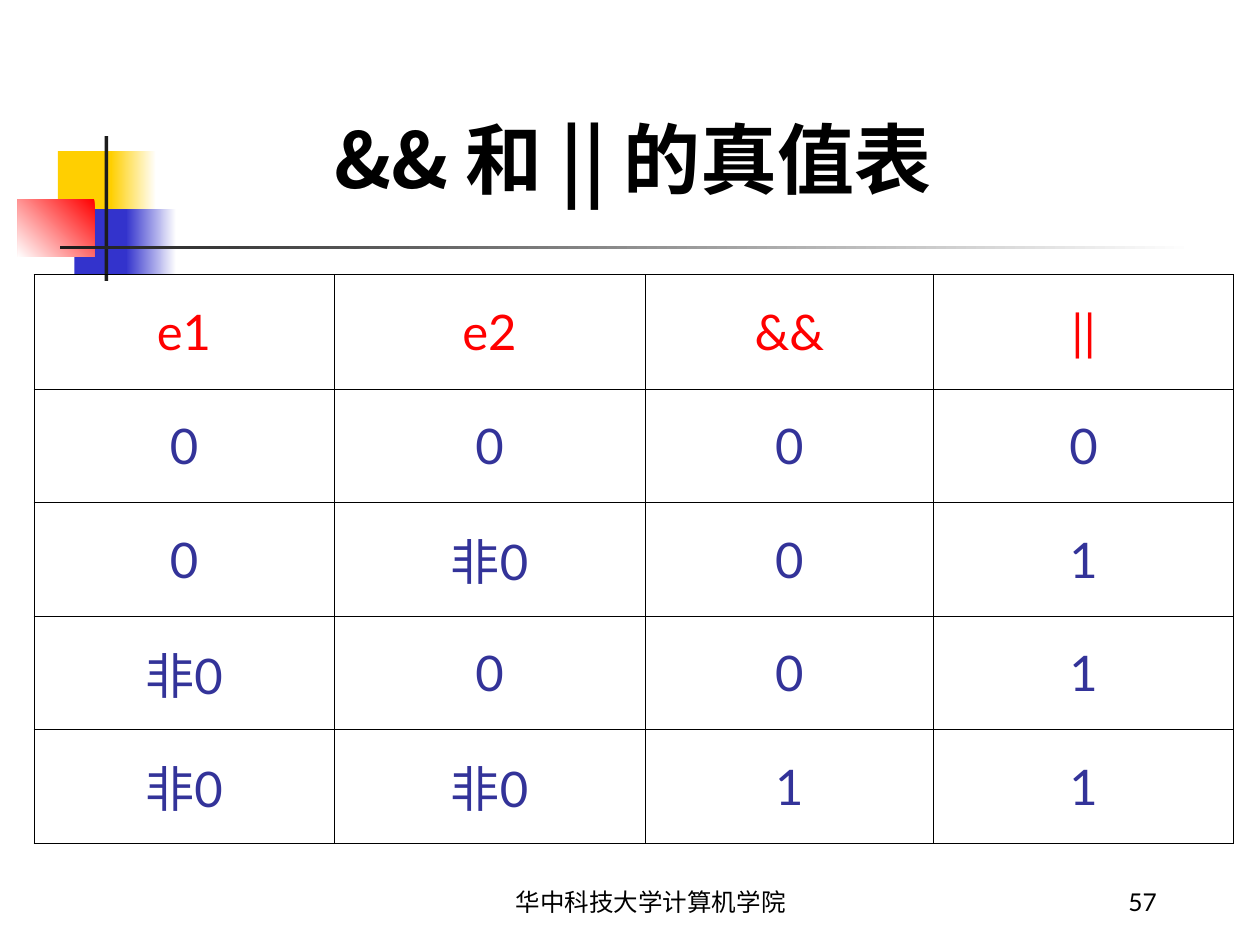
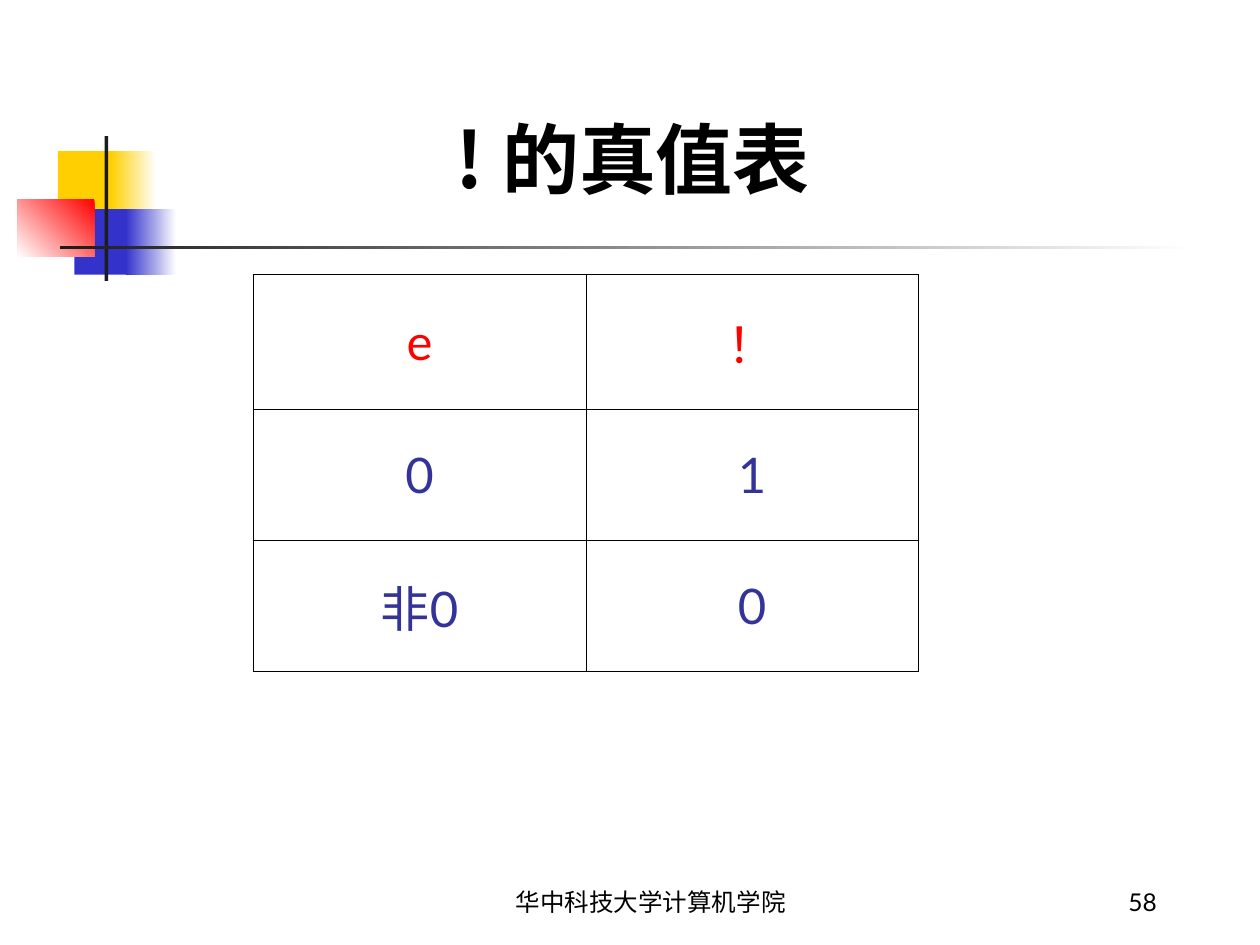
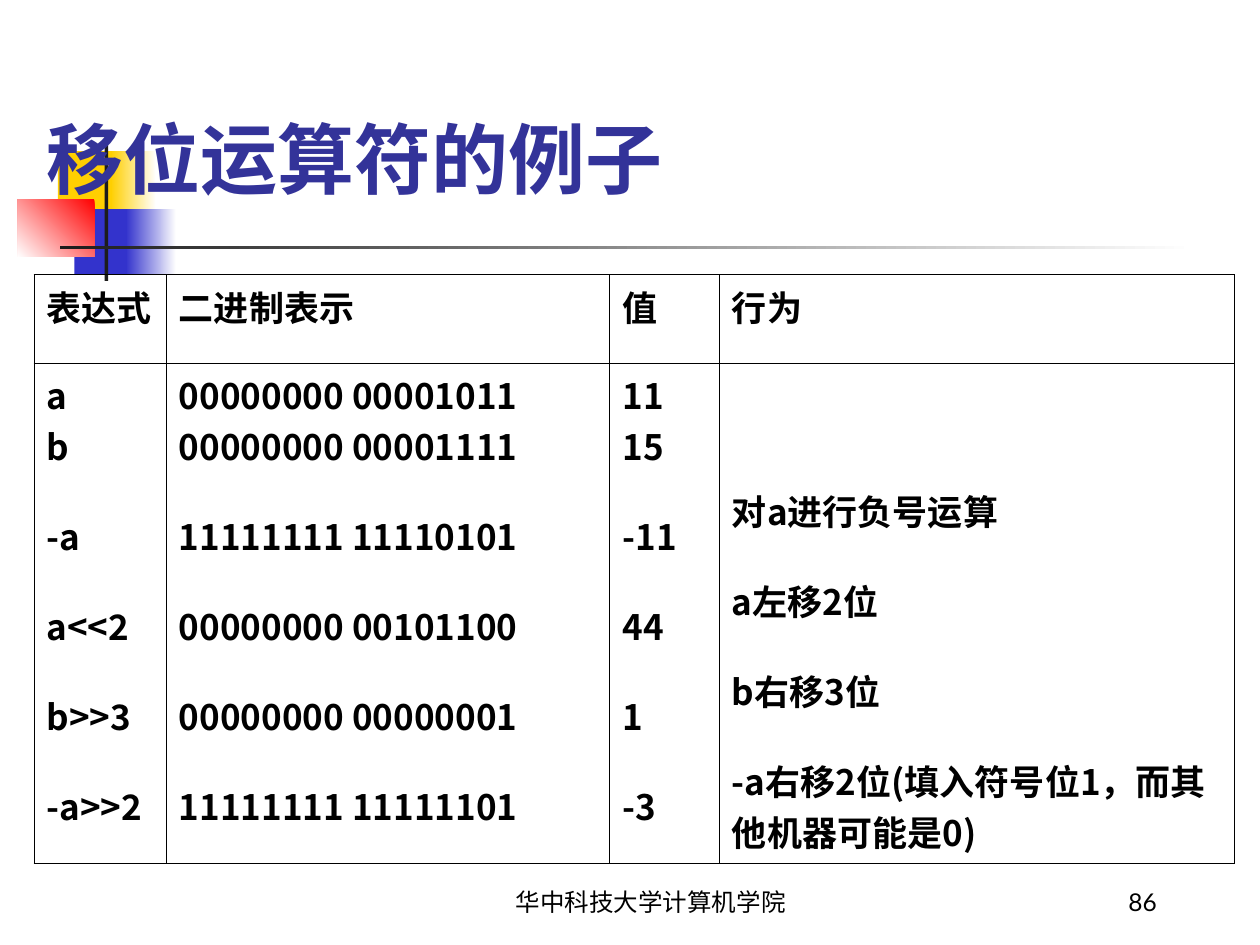
from pptx import Presentation
from pptx.dml.color import RGBColor
from pptx.enum.shapes import MSO_SHAPE
from pptx.enum.text import MSO_ANCHOR, PP_ALIGN
from pptx.oxml import parse_xml
from pptx.oxml.ns import nsdecls
from pptx.util import Inches, Pt

RECT = MSO_SHAPE.RECTANGLE
LEFT, CENTER, RIGHT = PP_ALIGN.LEFT, PP_ALIGN.CENTER, PP_ALIGN.RIGHT
TOP, MIDDLE, BOTTOM = MSO_ANCHOR.TOP, MSO_ANCHOR.MIDDLE, MSO_ANCHOR.BOTTOM

BLACK, WHITE, RED = "000000", "FFFFFF", "FF0000"
YELLOW, BLUE, CHARCOAL, INDIGO = "FFCF01", "3333CC", "1C1C1C", "333399"
LATIN, CJK = "Lato", "Noto Sans CJK SC"
FOOTER = "华中科技大学计算机学院"
TABLE_TOP = 2.18
BLANK_LINE = 22.4

# left, top, width, height, start colour, end colour (None if solid), angle
EMBLEM = [
    (0.46, 1.2, 0.48, 0.52, YELLOW, None, 0),
    (0.88, 1.2, 0.36, 0.52, WHITE, YELLOW, 180),
    (0.59, 1.66, 0.46, 0.52, BLUE, None, 0),
    (1, 1.66, 0.4, 0.52, WHITE, BLUE, 180),
    (0.14, 1.58, 0.61, 0.46, RED, WHITE, 225),
    (0.83, 1.08, 0.03, 1.15, CHARCOAL, None, 0),
    (0.48, 1.95, 9, 0.03, WHITE, CHARCOAL, 180),
]

AND_OR_ROWS = [
    ["e1", "e2", "&&", "||"],
    ["0", "0", "0", "0"],
    ["0", "非0", "0", "1"],
    ["非0", "0", "0", "1"],
    ["非0", "非0", "1", "1"],
]
NOT_ROWS = [["e", "！"], ["0", "1"], ["非0", "0"]]
SHIFT_HEADERS = ["表达式", "二进制表示", "值", "行为"]
SHIFT_COLUMNS = [
    ["a", "b", "-a", "a<<2", "b>>3", "-a>>2"],
    ["00000000 00001011", "00000000 00001111", "11111111 11110101",
     "00000000 00101100", "00000000 00000001", "11111111 11111101"],
    ["11", "15", "-11", "44", "1", "-3"],
    ["对a进行负号运算", "a左移2位", "b右移3位",
     "-a右移2位(填入符号位1，而其他机器可能是0)"],
]


def rgb(value):
    return RGBColor.from_string(value)


def style(paragraph, size, color, face=LATIN, bold=False, align=LEFT, before=0):
    paragraph.alignment = align
    paragraph.space_before = Pt(before)
    font = paragraph.font
    font.size, font.bold, font.name = Pt(size), bold, face
    font.color.rgb = rgb(color)
    east_asian = parse_xml(f'<a:ea {nsdecls("a")} typeface="{CJK}"/>')
    paragraph._p.pPr.find("{*}defRPr").append(east_asian)


def add_text(slide, box, text, size, color, **look):
    frame = slide.shapes.add_textbox(*map(Inches, box)).text_frame
    frame.word_wrap = True
    frame.vertical_anchor = BOTTOM
    frame.text = text
    style(frame.paragraphs[0], size, color, **look)


def add_emblem(slide):
    for *box, start, end, angle in EMBLEM:
        block = slide.shapes.add_shape(RECT, *map(Inches, box))
        block.shadow.inherit = False
        block.line.fill.background()
        if end is None:
            block.fill.solid()
            block.fill.fore_color.rgb = rgb(start)
        else:
            block.fill.gradient()
            block.fill.gradient_angle = angle
            for stop, color in zip(block.fill.gradient_stops, (start, end)):
                stop.color.rgb = rgb(color)


def add_framed_slide(deck, title, number, color=BLACK, align=CENTER):
    """Add a slide with the emblem, title, footer and page number."""
    slide = deck.slides.add_slide(deck.slide_layouts[6])
    add_emblem(slide)
    add_text(slide, (0.27, 0.6, 9.51, 1.07), title, 44, color,
             face=CJK, bold=True, align=align)
    add_text(slide, (3.58, 6.82, 3.17, 0.5), FOOTER, 14, BLACK, align=CENTER)
    add_text(slide, (7.2, 6.82, 2.08, 0.5), str(number), 14, BLACK, align=RIGHT)
    return slide


def outline(cell):
    properties = cell._tc.get_or_add_tcPr()
    for position, side in enumerate(("lnL", "lnR", "lnT", "lnB")):
        properties.insert(position, parse_xml(
            f'<a:{side} {nsdecls("a")} w="{Pt(0.45)}"><a:solidFill>'
            f'<a:srgbClr val="{BLACK}"/></a:solidFill></a:{side}>'))


def add_grid(slide, left, widths, heights):
    """Add an unfilled table with thin black borders."""
    table = slide.shapes.add_table(
        len(heights), len(widths), Inches(left), Inches(TABLE_TOP),
        Inches(sum(widths)), Inches(sum(heights))).table
    table.first_row = table.horz_banding = False
    for column, width in zip(table.columns, widths):
        column.width = Inches(width)
    for row, height in zip(table.rows, heights):
        row.height = Inches(height)
    for cell in table.iter_cells():
        cell.fill.background()
        outline(cell)
    return table


def add_truth_table(slide, left, widths, heights, rows):
    table = add_grid(slide, left, widths, heights)
    for r, row in enumerate(rows):
        for c, value in enumerate(row):
            cell = table.cell(r, c)
            cell.text = value
            cell.vertical_anchor = MIDDLE
            style(cell.text_frame.paragraphs[0], 28, INDIGO if r else RED,
                  align=CENTER, before=7)


def add_shift_table(slide):
    table = add_grid(slide, 0.27, [1.05, 3.52, 0.87, 4.09], [0.7, 3.97])
    for c, (header, entries) in enumerate(zip(SHIFT_HEADERS, SHIFT_COLUMNS)):
        # a and b stand together; the actions have no entry for them
        together = 2 if len(entries) == 6 else 1
        for r, lines in enumerate(([header], entries)):
            cell = table.cell(r, c)
            cell.text = "\n".join(lines)
            cell.vertical_anchor = TOP
            for i, paragraph in enumerate(cell.text_frame.paragraphs):
                style(paragraph, 20, BLACK, face=CJK, bold=True,
                      before=BLANK_LINE if i >= together else 0)
    table.cell(1, 3).margin_top = Inches(0.97)


def main():
    deck = Presentation()
    deck.slide_width, deck.slide_height = Inches(10), Inches(7.5)

    and_or = add_framed_slide(deck, "&& 和 || 的真值表", 57)
    add_truth_table(and_or, 0.27, [2.38, 2.47, 2.29, 2.38],
                    [0.91] + [0.9] * 4, AND_OR_ROWS)

    negation = add_framed_slide(deck, "! 的真值表", 58)
    add_truth_table(negation, 2.01, [2.64] * 2, [1.07, 1.04, 1.04], NOT_ROWS)

    shifts = add_framed_slide(deck, "移位运算符的例子", 86, INDIGO, LEFT)
    add_shift_table(shifts)

    deck.save("out.pptx")


if __name__ == "__main__":
    main()
